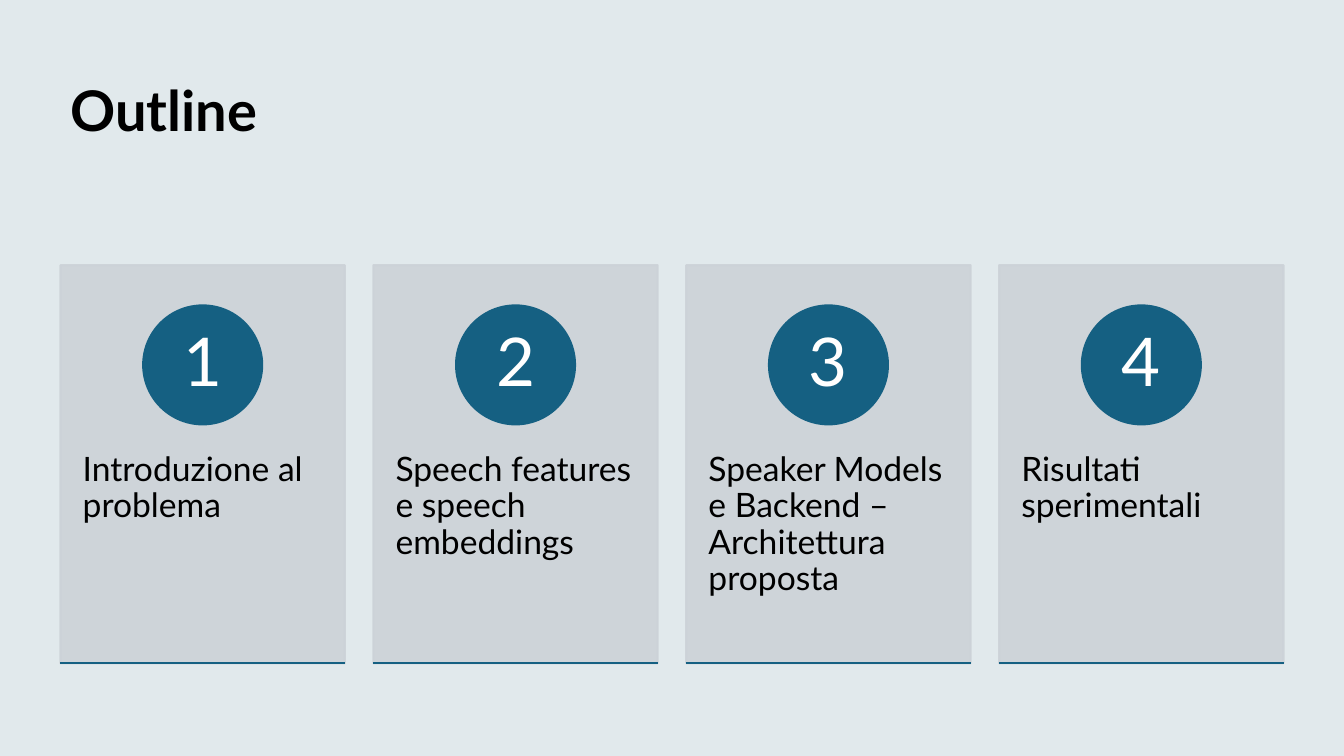
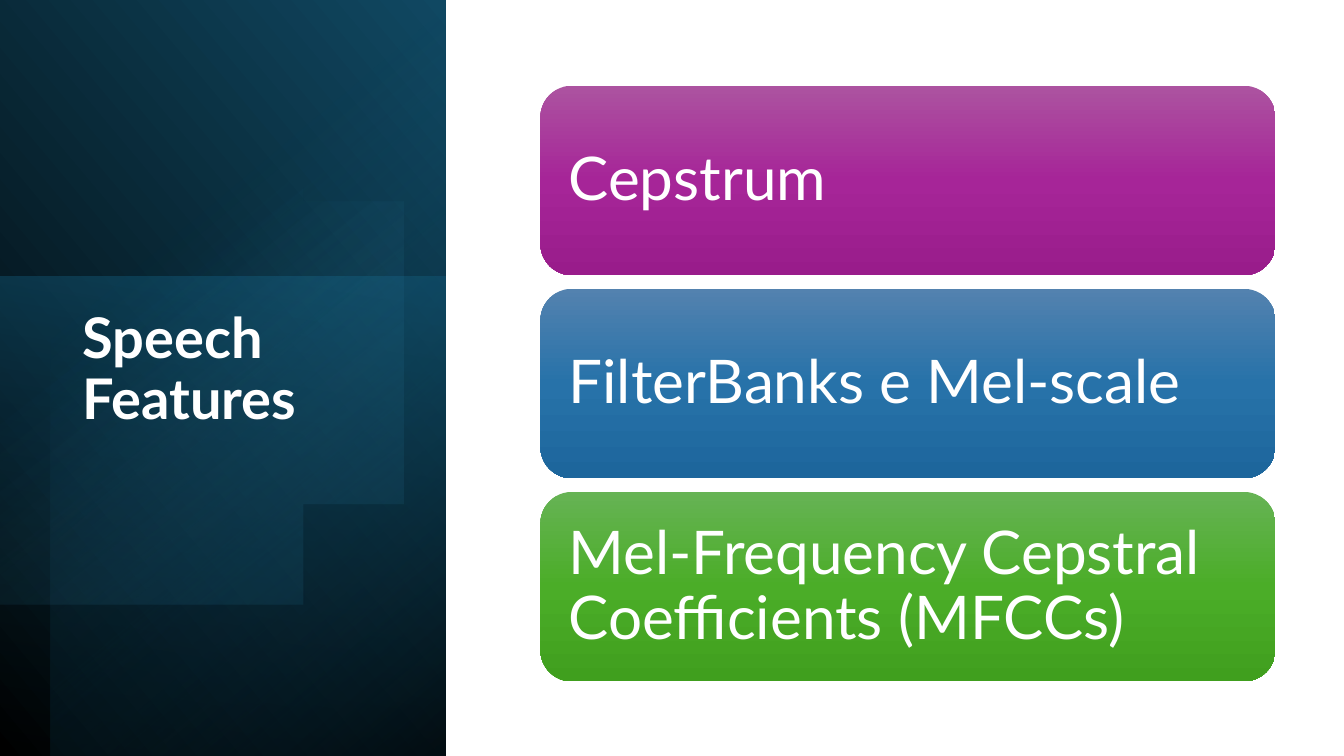
from math import cos, radians, sin

from lxml.etree import SubElement
from pptx import Presentation
from pptx.dml.color import RGBColor
from pptx.enum.shapes import MSO_CONNECTOR as Connector, MSO_SHAPE as Shape
from pptx.enum.text import MSO_ANCHOR as Anchor, PP_ALIGN as Align
from pptx.oxml.ns import qn
from pptx.util import Inches, Pt

FONT = "Lato"
BLACK = RGBColor(0x00, 0x00, 0x00)
WHITE = RGBColor(0xFF, 0xFF, 0xFF)
PAPER = RGBColor(0xF2, 0xF2, 0xF2)
TINT = RGBColor(0x0B, 0x76, 0xA0)
CARD = RGBColor(0xCC, 0xD2, 0xD8)
TEAL = RGBColor(0x15, 0x60, 0x82)
DEEP_TEAL = RGBColor(0x10, 0x48, 0x62)
NIGHT = RGBColor(0x0B, 0x30, 0x41)
SKY = RGBColor(0x46, 0xB1, 0xE1)
PURPLES = RGBColor(0xAC, 0x53, 0xA0), RGBColor(0xA6, 0x25, 0x98), RGBColor(0x99, 0x1C, 0x8B)
BLUES = RGBColor(0x53, 0x82, 0xAF), RGBColor(0x27, 0x72, 0xA9), RGBColor(0x1D, 0x66, 0x9C)
GREENS = RGBColor(0x66, 0xB3, 0x54), RGBColor(0x4B, 0xAD, 0x28), RGBColor(0x40, 0x9F, 0x1E)

SLIDE_WIDTH, SLIDE_HEIGHT = 13.33, 7.5
TOPICS = ["Introduzione al problema", "Speech features e speech embeddings",
          "Speaker Models e Backend – Architettura proposta", "Risultati sperimentali"]
FEATURES = [("Cepstrum", PURPLES), ("FilterBanks e Mel-scale", BLUES),
            ("Mel-Frequency Cepstral Coefficients (MFCCs)", GREENS)]


def set_opacity(fill_element, percent):
    """Make the colour of a solid fill partly transparent."""
    color = fill_element.find(qn("a:solidFill")).find(qn("a:srgbClr"))
    SubElement(color, qn("a:alpha"), val=str(percent * 1000))


def add_block(slide, kind, box, color=None, outline=None, opacity=100):
    """Add a preset shape with a flat fill and an optional outline."""
    shape = slide.shapes.add_shape(kind, *map(Inches, box))
    shape.shadow.inherit = False
    if color is not None:
        shape.fill.solid()
        shape.fill.fore_color.rgb = color
        if opacity < 100:
            set_opacity(shape._element.spPr, opacity)
    if outline is None:
        shape.line.fill.background()
    else:
        shape.line.color.rgb = outline
        shape.line.width = Pt(1.5)
        if opacity < 100:
            set_opacity(shape.line._get_or_add_ln(), opacity)
    return shape


def set_gradient(shape, stops, angle):
    """Fill a shape with (position, colour, opacity) stops at a clockwise angle."""
    shape.fill.background()
    properties = shape._element.spPr
    empty_fill = properties.find(qn("a:noFill"))
    gradient = SubElement(properties, qn("a:gradFill"), rotWithShape="1")
    properties.replace(empty_fill, gradient)
    stop_list = SubElement(gradient, qn("a:gsLst"))
    for position, color, opacity in stops:
        stop = SubElement(stop_list, qn("a:gs"), pos=str(position * 1000))
        value = SubElement(stop, qn("a:srgbClr"), val=str(color))
        if opacity < 100:
            SubElement(value, qn("a:alpha"), val=str(opacity * 1000))
    SubElement(gradient, qn("a:lin"), ang=str(angle * 60000), scaled="0")


def set_text(shape, text, size=24, color=BLACK, bold=False, align=Align.LEFT,
             anchor=Anchor.TOP, insets=(0.1, 0.05)):
    """Write one formatted paragraph into a shape."""
    frame = shape.text_frame
    frame.word_wrap = True
    frame.vertical_anchor = anchor
    frame.margin_left = frame.margin_right = Inches(insets[0])
    frame.margin_top = frame.margin_bottom = Inches(insets[1])
    paragraph = frame.paragraphs[0]
    paragraph.alignment = align
    paragraph.line_spacing = 0.9
    run = paragraph.add_run()
    run.text = text
    run.font.name = FONT
    run.font.size = Pt(size)
    run.font.bold = bold
    run.font.color.rgb = color


def add_text(slide, box, text, **style):
    """Add a text box with one formatted paragraph."""
    set_text(slide.shapes.add_textbox(*map(Inches, box)), text, **style)


def add_title(slide, box, text, **style):
    """Add a slide title."""
    add_text(slide, box, text, size=40, bold=True, **style)


def add_card(slide, box, number, topic):
    """Draw a numbered outline card with a rule at its foot."""
    left, top, width, height = box
    diameter = 1.18
    add_block(slide, Shape.RECTANGLE, box, CARD, outline=CARD, opacity=90)
    add_text(slide, (left, top + 1.5, width, height - 1.58), topic, insets=(0.22, 0.36))
    badge = add_block(slide, Shape.OVAL,
                      (left + (width - diameter) / 2, top + 0.4, diameter, diameter),
                      TEAL, outline=TEAL)
    set_text(badge, str(number), size=48, color=WHITE, align=Align.CENTER,
             anchor=Anchor.MIDDLE, insets=(0, 0.01))
    foot = Inches(top + height)
    rule = slide.shapes.add_connector(Connector.STRAIGHT, Inches(left), foot,
                                      Inches(left + width), foot)
    rule.line.color.rgb = TEAL
    rule.line.width = Pt(1.5)
    SubElement(rule._element.spPr, qn("a:effectLst"))


def add_panel_layer(slide, box, rotation, stops, angle, mirrored=False):
    """Add one rotated gradient layer of the side panel."""
    layer = add_block(slide, Shape.RECTANGLE, box)
    layer.rotation = rotation
    if mirrored:
        layer._element.spPr.find(qn("a:xfrm")).set("flipH", "1")
    set_gradient(layer, stops, angle)


def add_cut_circle(slide, center_x, center_y, radius):
    """Add the faint circle that is cut off by the slide's left edge."""
    points = [(center_x + radius * cos(radians(degree)), center_y + radius * sin(radians(degree)))
              for degree in range(-122, 123, 2)]
    points = [(0, points[0][1]), *points, (0, points[-1][1])]
    builder = slide.shapes.build_freeform(*points[0], scale=Inches(1))
    builder.add_line_segments(points[1:], close=True)
    circle = builder.convert_to_shape()
    circle.shadow.inherit = False
    circle.line.fill.background()
    set_gradient(circle, [(39, SKY, 0), (100, DEEP_TEAL, 26)], 52)


def add_side_panel(slide, width):
    """Draw the layered dark panel at the left of the slide."""
    add_panel_layer(slide, (-1.55, 1.55, 7.52, width), 90,
                    [(0, BLACK, 100), (100, DEEP_TEAL, 100)], 310, mirrored=True)
    add_panel_layer(slide, (-0.17, 2.91, 4.76, width), 270,
                    [(0, TEAL, 50), (100, NIGHT, 0)], 190)
    add_panel_layer(slide, (-1.29, 1.79, SLIDE_HEIGHT, width - 0.5), 270,
                    [(0, BLACK, 59), (69, TEAL, 0)], 220, mirrored=True)
    add_cut_circle(slide, 1.43, 3.47, 2.63)


def add_feature(slide, box, text, colors):
    """Draw a rounded gradient bar with its label."""
    left, top, width, height = box
    bar = add_block(slide, Shape.ROUNDED_RECTANGLE, box)
    set_gradient(bar, [(50 * index, color, 100) for index, color in enumerate(colors)], 90)
    add_text(slide, (left + 0.1, top + 0.1, width - 0.18, height - 0.19), text,
             size=43, color=WHITE, anchor=Anchor.MIDDLE, insets=(0.18, 0.18))


def build_outline(slide):
    """Build the slide with the four outline cards."""
    page = (0, 0, SLIDE_WIDTH, SLIDE_HEIGHT)
    add_block(slide, Shape.RECTANGLE, page, PAPER)
    add_block(slide, Shape.RECTANGLE, page, TINT, opacity=7)
    left, width, card_width = 0.6, 12.13, 2.82
    add_title(slide, (left, 0.4, width, 1.45), "Outline", anchor=Anchor.MIDDLE)
    pitch = (width - card_width) / (len(TOPICS) - 1)
    for index, topic in enumerate(TOPICS):
        add_card(slide, (left + index * pitch, 2.63, card_width, 3.95), index + 1, topic)


def build_features(slide):
    """Build the slide with the side panel and the three features."""
    add_side_panel(slide, 4.42)
    add_title(slide, (0.72, 3.03, 3.15, 3.36), "Speech Features", color=WHITE)
    height, gap = 1.88, 0.135
    for index, (text, colors) in enumerate(FEATURES):
        add_feature(slide, (5.36, 0.85 + index * (height + gap), 7.29, height), text, colors)


def main():
    """Create and save the presentation."""
    presentation = Presentation()
    presentation.slide_width = Inches(SLIDE_WIDTH)
    presentation.slide_height = Inches(SLIDE_HEIGHT)
    for build in (build_outline, build_features):
        build(presentation.slides.add_slide(presentation.slide_layouts[6]))
    presentation.save("out.pptx")


if __name__ == "__main__":
    main()
